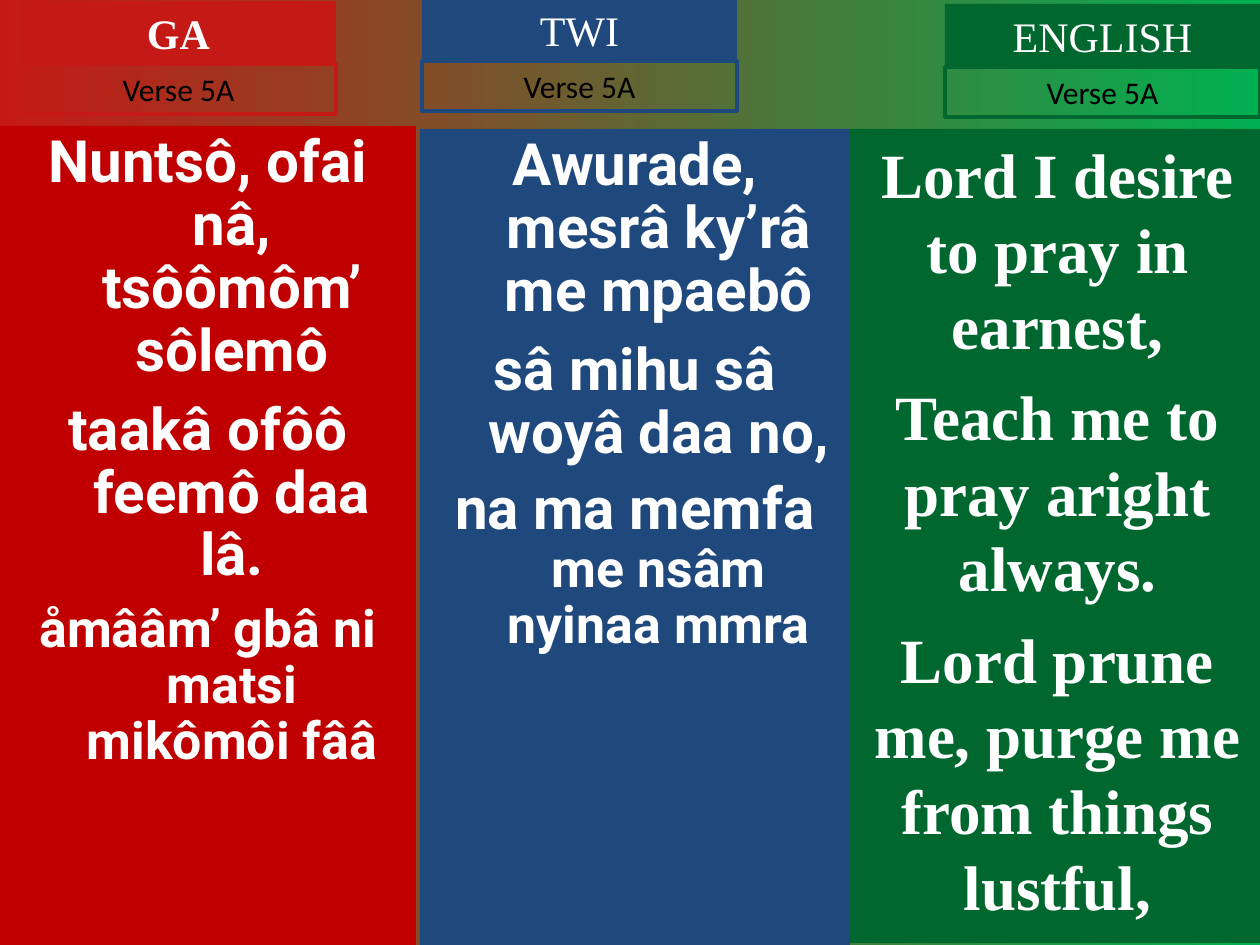
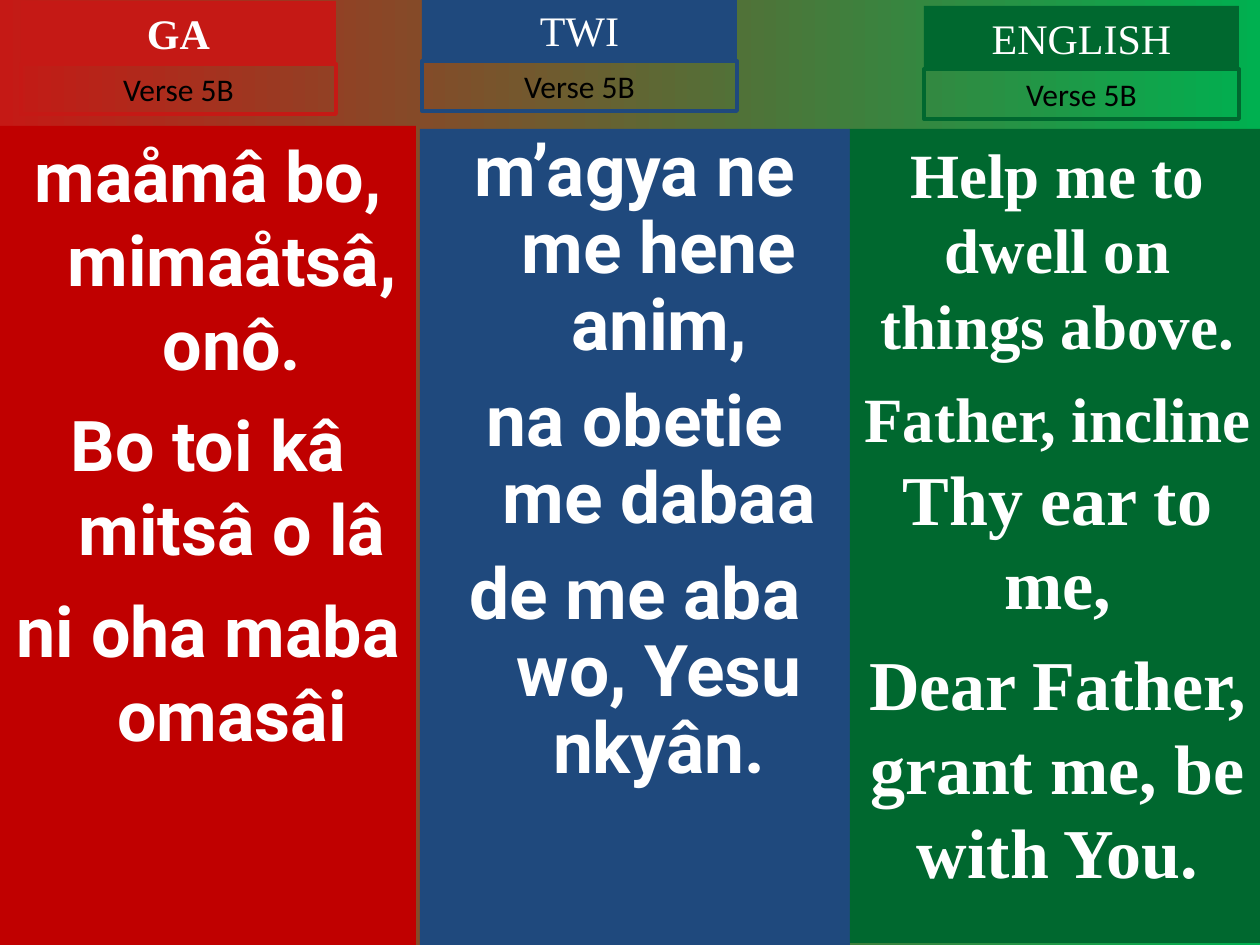
import pptx
import pptx.util
import pptx.dml.color
import pptx.enum.shapes
import pptx.enum.text

PX = 914400 / 126
COLORS = {
    "ga": "C51915", "ga_panel": "C00000", "twi": "1F497D", "english": "00682F",
    "leaf": "00B050", "white": "FFFFFF", "black": "000000",
}
SERIF, SANS, LYRIC = "Times New Roman", "Calibri", "Roboto"
HANG = 48
LABEL_WIDTH, LABEL_HEIGHT, VERSE_HEIGHT = 315, 63, 50


def px(n):
    return pptx.util.Emu(round(n * PX))


def text_block(slide, box, paragraphs, font, color="white", bold=False, fill=None,
               outline=None, hang=0, spacing=None, grow=False):
    """Add a rectangle; each paragraph is (space before, [(text, size), ...])."""
    rgb = pptx.dml.color.RGBColor.from_string
    block = slide.shapes.add_shape(pptx.enum.shapes.MSO_SHAPE.RECTANGLE, *map(px, box))
    block.shadow.inherit = False
    if fill:
        block.fill.solid()
        block.fill.fore_color.rgb = rgb(COLORS[fill])
    else:
        block.fill.background()
    if outline:
        block.line.color.rgb = rgb(COLORS[outline])
        block.line.width = pptx.util.Pt(2.25)
    else:
        block.line.fill.background()

    frame = block.text_frame
    frame.word_wrap = True
    frame.vertical_anchor = pptx.enum.text.MSO_ANCHOR.TOP
    if grow:
        frame.auto_size = pptx.enum.text.MSO_AUTO_SIZE.SHAPE_TO_FIT_TEXT
    for i, (before, runs) in enumerate(paragraphs):
        line = frame.add_paragraph() if i else frame.paragraphs[0]
        line.alignment = pptx.enum.text.PP_ALIGN.CENTER
        if i:
            line.space_before = pptx.util.Pt(before)
        if spacing:
            line.line_spacing = spacing
        if hang:
            properties = line._p.get_or_add_pPr()
            properties.set("marL", str(px(hang)))
            properties.set("indent", str(-px(hang)))
        for words, size in runs:
            run = line.add_run()
            run.text = words
            run.font.size = pptx.util.Pt(size)
            run.font.name = font
            run.font.bold = bold
            run.font.color.rgb = rgb(COLORS[color])


# language: label, accent, panel fill, panel box, lyric font, hanging indent, bold label
columns = [
    ("GA", "ga", "ga_panel", (0, 126, 416, 819), LYRIC, HANG, True),
    ("TWI", "twi", "twi", (420, 129, 430, 816), LYRIC, HANG, False),
    ("ENGLISH", "english", "english", (850, 129, 415, 814), SERIF, 0, False),
]

# verse: name, label corners, then (line spacing, paragraphs) for each language
verses = [
    ("Verse 5A", [(21, 1), (422, -2), (945, 4)], [
        (0.9, [(9, [("Nuntsô, ofai nâ, tsôômôm’ sôlemô", 33.3)]),
               (9, [("taakâ ofôô feemô daa lâ.", 33.3)]),
               (8, [("åmââm’ gbâ ni matsi mikômôi fââ", 29.6)])]),
        (0.9, [(9, [("Awurade, mesrâ ky’râ me mpaebô", 33.3)]),
               (9, [("sâ mihu sâ woyâ daa no,", 33.3)]),
               (8, [("na ma memfa ", 33.3), ("me nsâm nyinaa mmra", 29.6)])]),
        (None, [(9, [("Lord I desire to pray in earnest,", 36)]),
                (9, [("Teach me to pray aright always.", 36)]),
                (9, [("Lord prune me, purge me from things lustful,", 36)])]),
    ]),
    ("Verse 5B", [(21, 1), (422, -2), (924, 6)], [
        (None, [(10, [("maåmâ bo, mimaåtsâ, onô.", 40)]),
                (10, [("Bo toi kâ mitsâ o lâ", 40)]),
                (10, [("ni oha maba omasâi", 40)])]),
        (0.9, [(11, [("m’agya ne me hene anim,", 40.7)]),
               (11, [("na obetie me dabaa", 40.7)]),
               (11, [("de me aba wo, Yesu nkyân.", 40.7)])]),
        (None, [(9, [("Help me to dwell on things above.", 36)]),
                (10, [("Father, incline ", 36), ("Thy ear to me,", 40)]),
                (10, [("Dear Father, grant me, be with You.", 40)])]),
    ]),
]

deck = pptx.Presentation()
deck.slide_width, deck.slide_height = px(1260), px(945)

for verse, corners, lyrics in verses:
    slide = deck.slides.add_slide(deck.slide_layouts[6])
    backdrop = slide.background.fill
    backdrop.gradient()
    backdrop.gradient_angle = 0
    for stop, position, shade in zip(backdrop.gradient_stops, (0, 1), ("ga", "leaf")):
        stop.position = position
        stop.color.rgb = pptx.dml.color.RGBColor.from_string(COLORS[shade])

    for column, (x, y), (spacing, stanza) in zip(columns, corners, lyrics):
        language, accent, panel, panel_box, lyric_font, hang, bold_label = column
        text_block(slide, panel_box, stanza, lyric_font, bold=True, fill=panel,
                   hang=hang, spacing=spacing)
        text_block(slide, (x, y, LABEL_WIDTH, LABEL_HEIGHT), [(0, [(language, 24)])],
                   SERIF, bold=bold_label, fill=accent, grow=True)
        text_block(slide, (x, y + LABEL_HEIGHT, LABEL_WIDTH, VERSE_HEIGHT),
                   [(0, [(verse, 18)])], SANS, color="black", outline=accent, grow=True)

deck.save("out.pptx")
